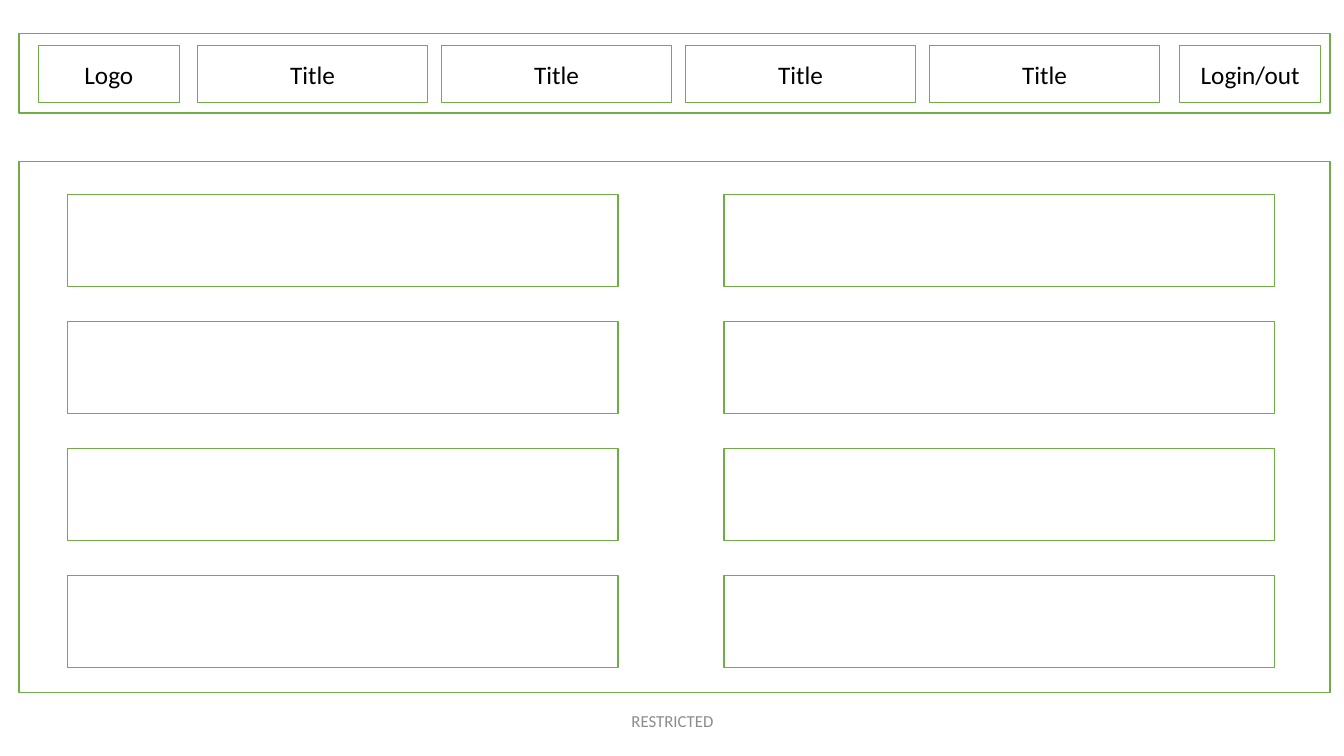
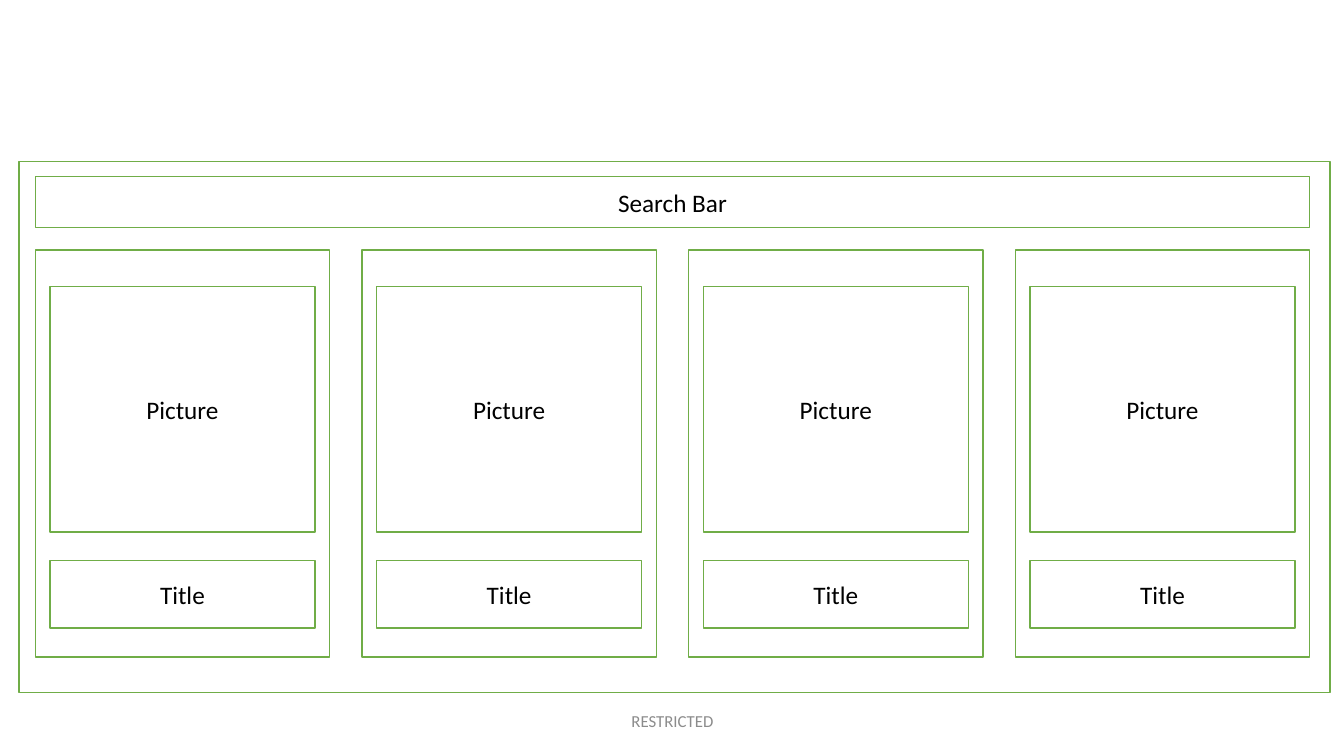
import pptx
import pptx.dml.color
import pptx.enum.shapes
import pptx.enum.text
import pptx.util

Inches = pptx.util.Inches


def color(hex_string):
    return pptx.dml.color.RGBColor.from_string(hex_string)


def apply_format(target, values):
    for name, value in values.items():
        setattr(target, name, value)


class Wireframe:
    """Holds the shared style and the slide being drawn."""

    WHITE, GREEN, BLACK, GRAY = "FFFFFF", "70AD47", "000000", "8C8C8C"
    FONT = "Calibri"
    FRAME_FORMAT = {
        "word_wrap": True,
        "vertical_anchor": pptx.enum.text.MSO_ANCHOR.MIDDLE,
    }

    def __init__(self):
        self.presentation = pptx.Presentation()
        apply_format(self.presentation, {
            "slide_width": Inches(13.33),
            "slide_height": Inches(7.5),
        })
        self.slide = None

    def add_slide(self):
        """Start a slide with the footer and the main panel."""
        blank_layout = self.presentation.slide_layouts[6]
        self.slide = self.presentation.slides.add_slide(blank_layout)
        self.label(4.42, 6.95, 4.5, 0.4, "RESTRICTED")
        self.box(0.19, 1.6, 13, 5.27)

    def set_text(self, shape, text, size, hex_string):
        apply_format(shape.text_frame, self.FRAME_FORMAT)
        paragraph = shape.text_frame.paragraphs[0]
        paragraph.alignment = pptx.enum.text.PP_ALIGN.CENTER
        run = paragraph.add_run()
        run.text = text
        apply_format(run.font, {"name": self.FONT, "size": pptx.util.Pt(size)})
        run.font.color.rgb = color(hex_string)

    def label(self, left, top, width, height, text):
        shape = self.slide.shapes.add_textbox(
            Inches(left), Inches(top), Inches(width), Inches(height))
        self.set_text(shape, text, 12, self.GRAY)

    def box(self, left, top, width, height, text=None):
        shape = self.slide.shapes.add_shape(
            pptx.enum.shapes.MSO_SHAPE.RECTANGLE,
            Inches(left), Inches(top), Inches(width), Inches(height))
        shape.shadow.inherit = False
        shape.fill.solid()
        shape.fill.fore_color.rgb = color(self.WHITE)
        shape.line.color.rgb = color(self.GREEN)
        shape.line.width = pptx.util.Pt(1)
        if text:
            self.set_text(shape, text, 18, self.BLACK)


def build_list_page(wireframe):
    wireframe.add_slide()

    # Content grid: two columns of four rows
    for left in (0.67, 7.18):
        for row in range(4):
            wireframe.box(left, 1.93 + row * 1.26, 5.46, 0.91)

    # Navigation bar
    wireframe.box(0.19, 0.33, 13, 0.79)
    bar_top, bar_height = 0.45, 0.57
    wireframe.box(0.38, bar_top, 1.4, bar_height, "Logo")
    for column in range(4):
        wireframe.box(1.96 + column * 2.42, bar_top, 2.28, bar_height, "Title")
    wireframe.box(11.7, bar_top, 1.4, bar_height, "Login/out")


def build_search_page(wireframe):
    wireframe.add_slide()
    wireframe.box(0.35, 1.75, 12.64, 0.51, "Search Bar")

    # Cards, each with a picture area and a title
    card_width, inner_width = 2.92, 2.63
    inset = (card_width - inner_width) / 2
    for column in range(4):
        left = 0.35 + column * 3.24
        wireframe.box(left, 2.48, card_width, 4.04)
        wireframe.box(left + inset, 2.84, inner_width, 2.44, "Picture")
        wireframe.box(left + inset, 5.56, inner_width, 0.67, "Title")


def main():
    wireframe = Wireframe()
    build_list_page(wireframe)
    build_search_page(wireframe)
    wireframe.presentation.save("out.pptx")


if __name__ == "__main__":
    main()
